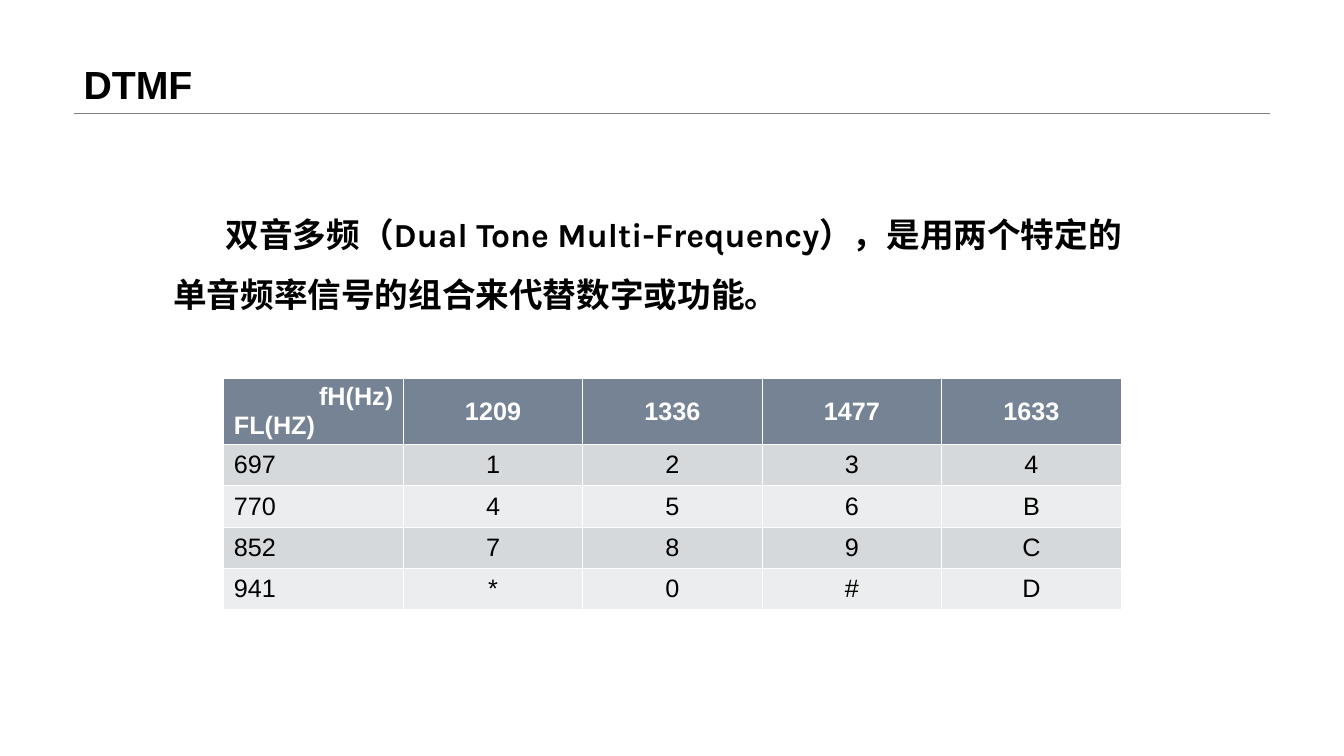
from pptx import Presentation
from pptx.dml.color import RGBColor
from pptx.enum.shapes import MSO_CONNECTOR
from pptx.enum.text import MSO_ANCHOR, PP_ALIGN
from pptx.oxml.ns import qn
from pptx.util import Inches, Pt
from lxml import etree

TITLE = "DTMF"
DEFINITION = [
    "双音多频（Dual Tone Multi-Frequency），是用两个特定的",
    "单音频率信号的组合来代替数字或功能。",
]
KEYPAD = [
    ["fH(Hz)\nFL(HZ)", "1209", "1336", "1477", "1633"],
    ["697", "1", "2", "3", "4"],
    ["770", "4", "5", "6", "B"],
    ["852", "7", "8", "9", "C"],
    ["941", "*", "0", "#", "D"],
]

BLACK = RGBColor(0x00, 0x00, 0x00)
WHITE = RGBColor(0xFF, 0xFF, 0xFF)
RULE_GRAY = RGBColor(0x80, 0x80, 0x80)
HEADER_FILL = RGBColor(0x76, 0x83, 0x94)
BAND_FILLS = [RGBColor(0xEC, 0xED, 0xEE), RGBColor(0xD6, 0xD9, 0xDC)]

LEFT, RULE_Y, WIDTH = Inches(0.73), Inches(1.12), Inches(11.87)
COLUMN_WIDTH = Inches(1.78)
HEADER_HEIGHT, ROW_HEIGHT = Inches(0.65), Inches(0.41)


def set_font(para, name, size, color, bold):
    font = para.font
    font.name, font.size, font.bold = name, Pt(size), bold
    font.color.rgb = color


def add_title(page):
    title = page.shapes.title
    title.left, title.top, title.width, title.height = LEFT, 0, WIDTH, RULE_Y
    frame = title.text_frame
    frame.text = TITLE
    frame.vertical_anchor = MSO_ANCHOR.BOTTOM
    para = frame.paragraphs[0]
    para.alignment = PP_ALIGN.LEFT
    para.line_spacing = 0.9
    set_font(para, "Arial", 28, BLACK, True)

    rule = page.shapes.add_connector(
        MSO_CONNECTOR.STRAIGHT, LEFT, RULE_Y, LEFT + WIDTH, RULE_Y)
    rule.line.color.rgb = RULE_GRAY
    rule.line.width = Pt(0.25)
    etree.SubElement(rule._element.spPr, qn("a:effectLst"))


def add_definition(page):
    box = page.shapes.add_textbox(
        Inches(1.62), Inches(2.07), Inches(10.09), Inches(1.03))
    frame = box.text_frame
    frame.word_wrap = True
    frame.text = "\n".join(DEFINITION)
    first, second = frame.paragraphs
    for para in (first, second):
        set_font(para, "Karla", 24, BLACK, True)
    first._p.get_or_add_pPr().set("indent", str(Inches(0.52)))
    second.line_spacing = 1.5


def add_keypad(page):
    rows, columns = len(KEYPAD), len(KEYPAD[0])
    table = page.shapes.add_table(
        rows, columns, Inches(2.22), Inches(3.75), COLUMN_WIDTH * columns,
        HEADER_HEIGHT + ROW_HEIGHT * (rows - 1)).table
    for column in table.columns:
        column.width = COLUMN_WIDTH
    for r, values in enumerate(KEYPAD):
        header = r == 0
        table.rows[r].height = HEADER_HEIGHT if header else ROW_HEIGHT
        for c, value in enumerate(values):
            cell = table.cell(r, c)
            cell.text = value
            cell.vertical_anchor = MSO_ANCHOR.MIDDLE
            cell.fill.solid()
            cell.fill.fore_color.rgb = HEADER_FILL if header else BAND_FILLS[r % 2]
            for para in cell.text_frame.paragraphs:
                para.alignment = PP_ALIGN.CENTER if c else PP_ALIGN.LEFT
                set_font(para, "Arial", 18, WHITE if header else BLACK, header)
    corner = table.cell(0, 0)
    corner.vertical_anchor = MSO_ANCHOR.TOP
    corner.text_frame.paragraphs[0].alignment = PP_ALIGN.RIGHT


def main():
    deck = Presentation()
    deck.slide_width, deck.slide_height = Inches(13.33), Inches(7.5)
    page = deck.slides.add_slide(deck.slide_layouts[5])
    add_title(page)
    add_keypad(page)
    add_definition(page)
    deck.save("out.pptx")


if __name__ == "__main__":
    main()
